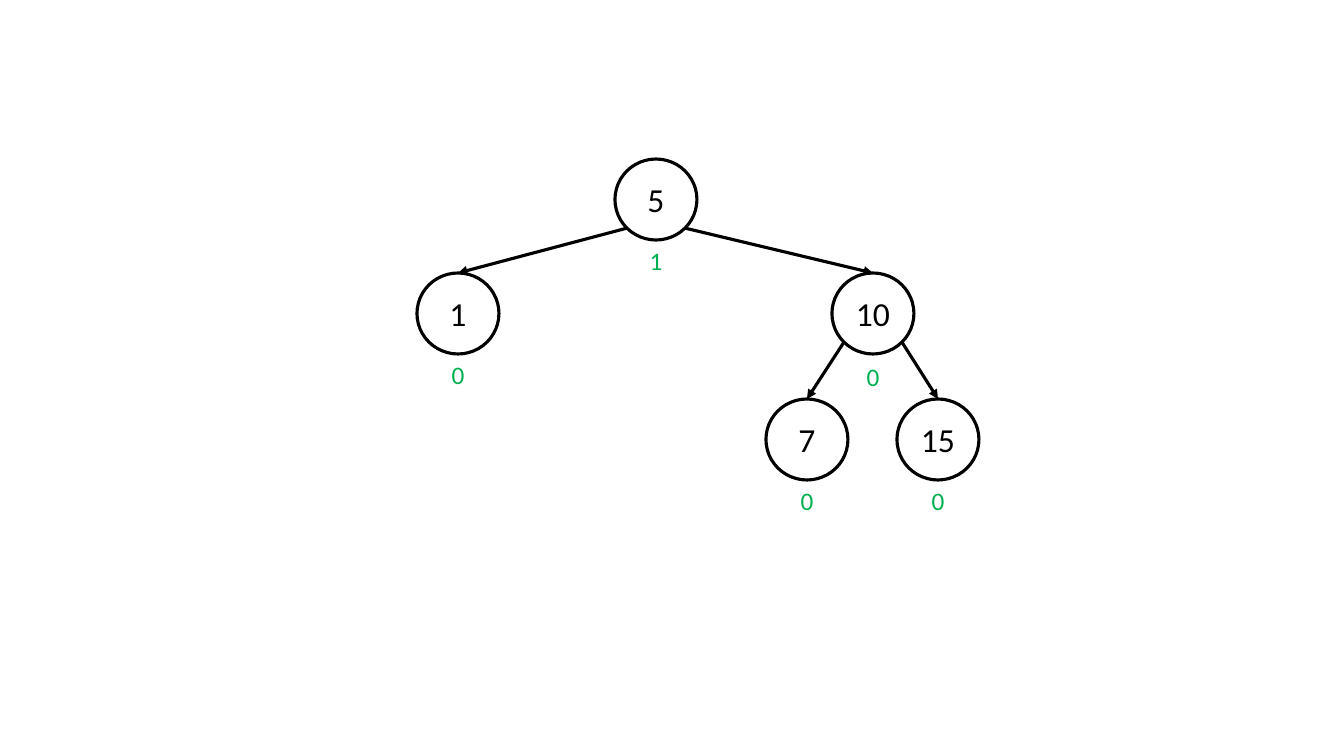
import math

import pptx
import pptx.dml.color
import pptx.enum.shapes
import pptx.enum.text
import pptx.oxml
import pptx.oxml.ns
import pptx.util

EMU_PER_PX = 914400 / 100.8


def px(length):
    return pptx.util.Emu(round(length * EMU_PER_PX))


def color(hex_string):
    return pptx.dml.color.RGBColor.from_string(hex_string)


def write(frame, text, *, size, ink, font="Calibri", wrap=True):
    frame.word_wrap = wrap
    paragraph = frame.paragraphs[0]
    paragraph.alignment = pptx.enum.text.PP_ALIGN.CENTER
    run = paragraph.add_run()
    run.text = text
    run.font.name = font
    run.font.size = pptx.util.Pt(size)
    run.font.color.rgb = color(ink)


class TreeSlide:
    INK = "000000"
    BALANCE_INK = "00B050"
    LINE_WIDTH = 2.25
    NODE_WIDTH, NODE_HEIGHT = 82, 81
    BALANCE_WIDTH, BALANCE_HEIGHT = 34, 40

    def __init__(self, slide):
        self.slide = slide

    def outline(self, line):
        line.color.rgb = color(self.INK)
        line.width = pptx.util.Pt(self.LINE_WIDTH)

    def node(self, key, center, top):
        circle = self.slide.shapes.add_shape(
            pptx.enum.shapes.MSO_SHAPE.OVAL,
            px(center - self.NODE_WIDTH / 2), px(top),
            px(self.NODE_WIDTH), px(self.NODE_HEIGHT))
        circle.shadow.inherit = False
        circle.fill.background()
        self.outline(circle.line)
        circle.text_frame.vertical_anchor = pptx.enum.text.MSO_ANCHOR.MIDDLE
        write(circle.text_frame, key, size=24, ink=self.INK)
        return circle

    def balance(self, value, center, node_top, gap):
        label = self.slide.shapes.add_textbox(
            px(center - self.BALANCE_WIDTH / 2),
            px(node_top + self.NODE_HEIGHT + gap),
            px(self.BALANCE_WIDTH), px(self.BALANCE_HEIGHT))
        label.text_frame.auto_size = pptx.enum.text.MSO_AUTO_SIZE.SHAPE_TO_FIT_TEXT
        write(label.text_frame, value, size=18, ink=self.BALANCE_INK, wrap=False)

    def edge(self, parent, child):
        # Leave the parent's circle at 45 degrees, on the child's side
        side = 1 if child.left > parent.left else -1
        reach = math.sqrt(0.5) / 2
        start_x = round(parent.left + parent.width * (0.5 + side * reach))
        start_y = round(parent.top + parent.height * (0.5 + reach))
        arrow = self.slide.shapes.add_connector(
            pptx.enum.shapes.MSO_CONNECTOR.STRAIGHT,
            start_x, start_y, child.left + child.width // 2, child.top)
        arrow.end_connect(child, 0)
        self.outline(arrow.line)
        properties = arrow.line._get_or_add_ln()
        head = pptx.oxml.parse_xml(
            f'<a:tailEnd {pptx.oxml.ns.nsdecls("a")} type="triangle"/>')
        properties.append(head)
        arrow._element.spPr.append(pptx.oxml.parse_xml(
            f'<a:effectLst {pptx.oxml.ns.nsdecls("a")}/>'))


# Key, balance, center, level, gap above the balance
NODES = [
    ("5", "1", 656, 0, 0),
    ("1", "0", 458, 1, 0),
    ("10", "0", 873, 1, 2),
    ("7", "0", 807, 2, 0),
    ("15", "0", 938, 2, 0),
]
LEVEL_TOPS = [159, 273, 399]
EDGES = [("5", "1"), ("5", "10"), ("10", "7"), ("10", "15")]


def main():
    deck = pptx.Presentation()
    deck.slide_width, deck.slide_height = px(1344), px(756)
    tree = TreeSlide(deck.slides.add_slide(deck.slide_layouts[6]))

    # Nodes with their balance values
    circles = {}
    for key, balance, center, level, gap in NODES:
        top = LEVEL_TOPS[level]
        circles[key] = tree.node(key, center, top)
        tree.balance(balance, center, top, gap)

    # Edges from parent to child
    for parent, child in EDGES:
        tree.edge(circles[parent], circles[child])

    deck.save("out.pptx")


if __name__ == "__main__":
    main()
